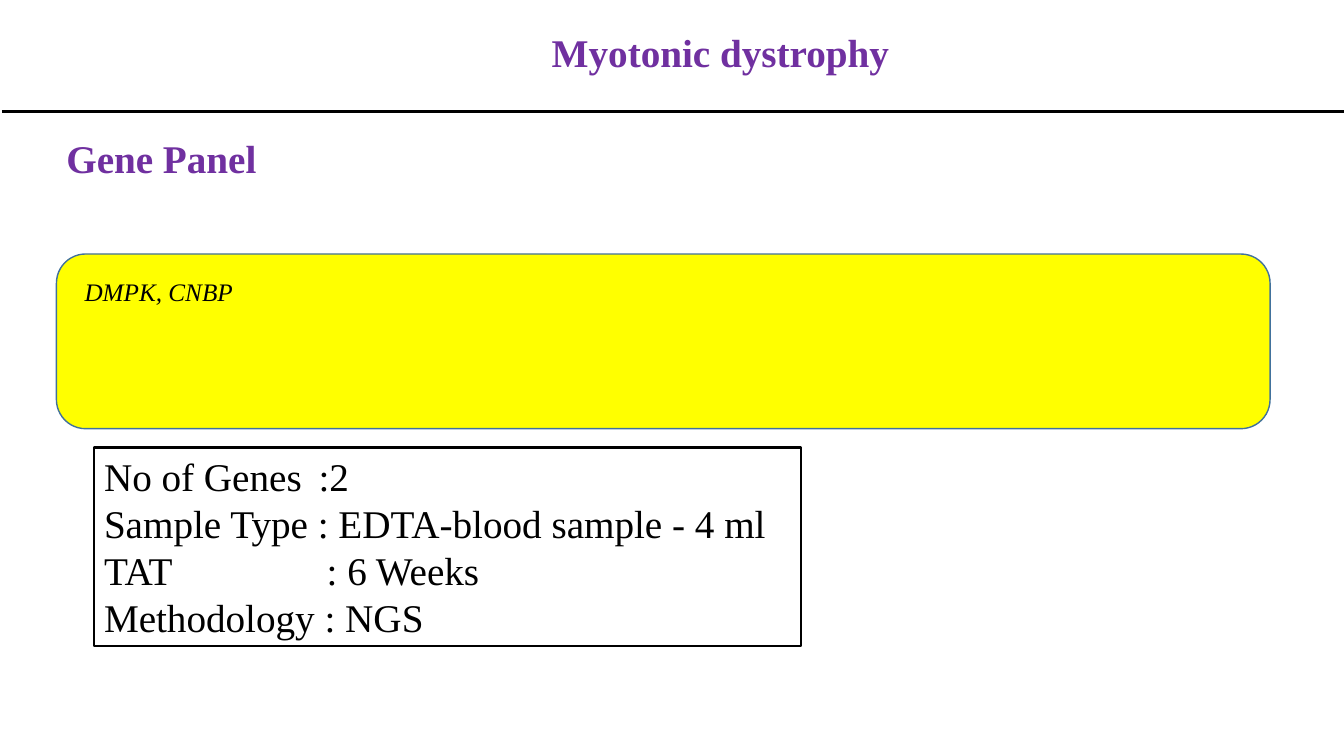
from dataclasses import dataclass
from pptx import Presentation, util as u
from pptx.dml.color import RGBColor
from pptx.enum import shapes, text
from pptx.oxml.ns import qn
from lxml import etree

WIDE, HIGH = 13.34, 7.5


@dataclass(frozen=True)
class Theme:
    font: str = "Times New Roman"
    head: str = "7030A0"
    ink: str = "000000"
    panel: str = "FFFF00"
    edge: str = "41719C"
    large: int = 28
    small: int = 18


THEME = Theme()


def color(code):
    return RGBColor.from_string(code)


def span(left, top, width, height):
    return [u.Inches(v) for v in
            (left * WIDE, top * HIGH, width * WIDE, height * HIGH)]


def write(para, words, size, tint, bold=False, italic=False):
    run = para.add_run()
    run.text = words
    font = run.font
    font.name, font.size = THEME.font, u.Pt(size)
    font.bold, font.italic = bold, italic
    font.color.rgb = color(tint)


def label(slide, box, words, size, tint, center=False, **style):
    frame = slide.shapes.add_textbox(*span(*box)).text_frame
    frame.word_wrap = True
    para = frame.paragraphs[0]
    if center:
        frame.vertical_anchor = text.MSO_ANCHOR.MIDDLE
        para.alignment = text.PP_ALIGN.CENTER
        para.line_spacing = 0.9
    write(para, words, size, tint, **style)


def block(slide, kind, box, fill, line, weight):
    shape = slide.shapes.add_shape(kind, *span(*box))
    shape.shadow.inherit = False
    if fill:
        shape.fill.solid()
        shape.fill.fore_color.rgb = color(fill)
    else:
        shape.fill.background()
    shape.line.color.rgb = color(line)
    shape.line.width = u.Pt(weight)
    return shape


def header(slide, box):
    left, top, width, height = box
    label(slide, (left + width * 0.105, top, width * 0.862, height * 0.98),
          "Myotonic dystrophy", THEME.large, THEME.head, center=True, bold=True)
    x, y, w, h = span(*box)
    rule = slide.shapes.add_connector(
        shapes.MSO_CONNECTOR.STRAIGHT, x + u.Inches(0.02), y + h, x + w, y + h)
    rule.line.color.rgb = color(THEME.ink)
    rule.line.width = u.Pt(2.25)
    etree.SubElement(rule._element.spPr, qn("a:effectLst"))


def genes(slide, box):
    left, top, width, height = box
    block(slide, shapes.MSO_SHAPE.ROUNDED_RECTANGLE, box,
          THEME.panel, THEME.edge, 1)
    label(slide, (left + width * 0.015, top + height * 0.1,
                  width * 0.954, height * 0.23),
          "DMPK, CNBP", THEME.small, THEME.ink, italic=True)


def facts(slide, box):
    rows = [("No of Genes\t:2", 2.13),
            ("Sample Type : EDTA-blood sample - 4 ml", None),
            ("TAT\t: 6 Weeks", 2.21),
            ("Methodology : NGS", None)]
    frame = block(slide, shapes.MSO_SHAPE.RECTANGLE, box,
                  None, THEME.ink, 1.5).text_frame
    frame.word_wrap = True
    frame.vertical_anchor = text.MSO_ANCHOR.TOP
    for i, (words, stop) in enumerate(rows):
        para = frame.add_paragraph() if i else frame.paragraphs[0]
        para.alignment = text.PP_ALIGN.LEFT
        if stop:
            tabs = etree.SubElement(para._p.get_or_add_pPr(), qn("a:tabLst"))
            etree.SubElement(tabs, qn("a:tab"),
                             pos=str(u.Inches(stop)), algn="l")
        write(para, words, THEME.large, THEME.ink)


def main():
    deck = Presentation()
    deck.slide_width, deck.slide_height = u.Inches(WIDE), u.Inches(HIGH)
    slide = deck.slides.add_slide(deck.slide_layouts[6])
    header(slide, (0, 0, 1, 0.148))
    genes(slide, (0.042, 0.336, 0.903, 0.231))
    facts(slide, (0.07, 0.592, 0.526, 0.263))
    label(slide, (0.042, 0.171, 0.284, 0.076),
          "Gene Panel", THEME.large, THEME.head, bold=True)
    deck.save("out.pptx")


if __name__ == "__main__":
    main()
